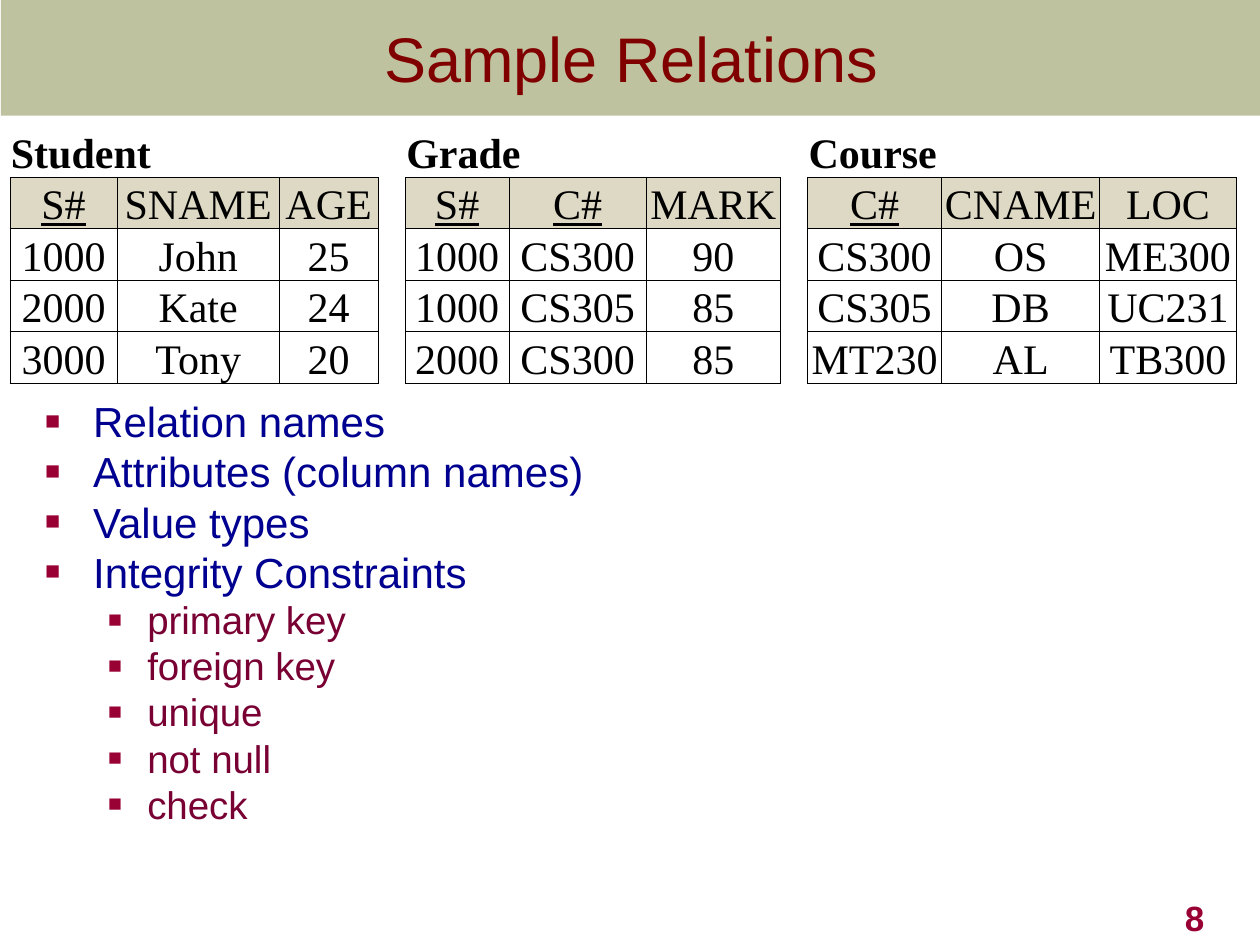
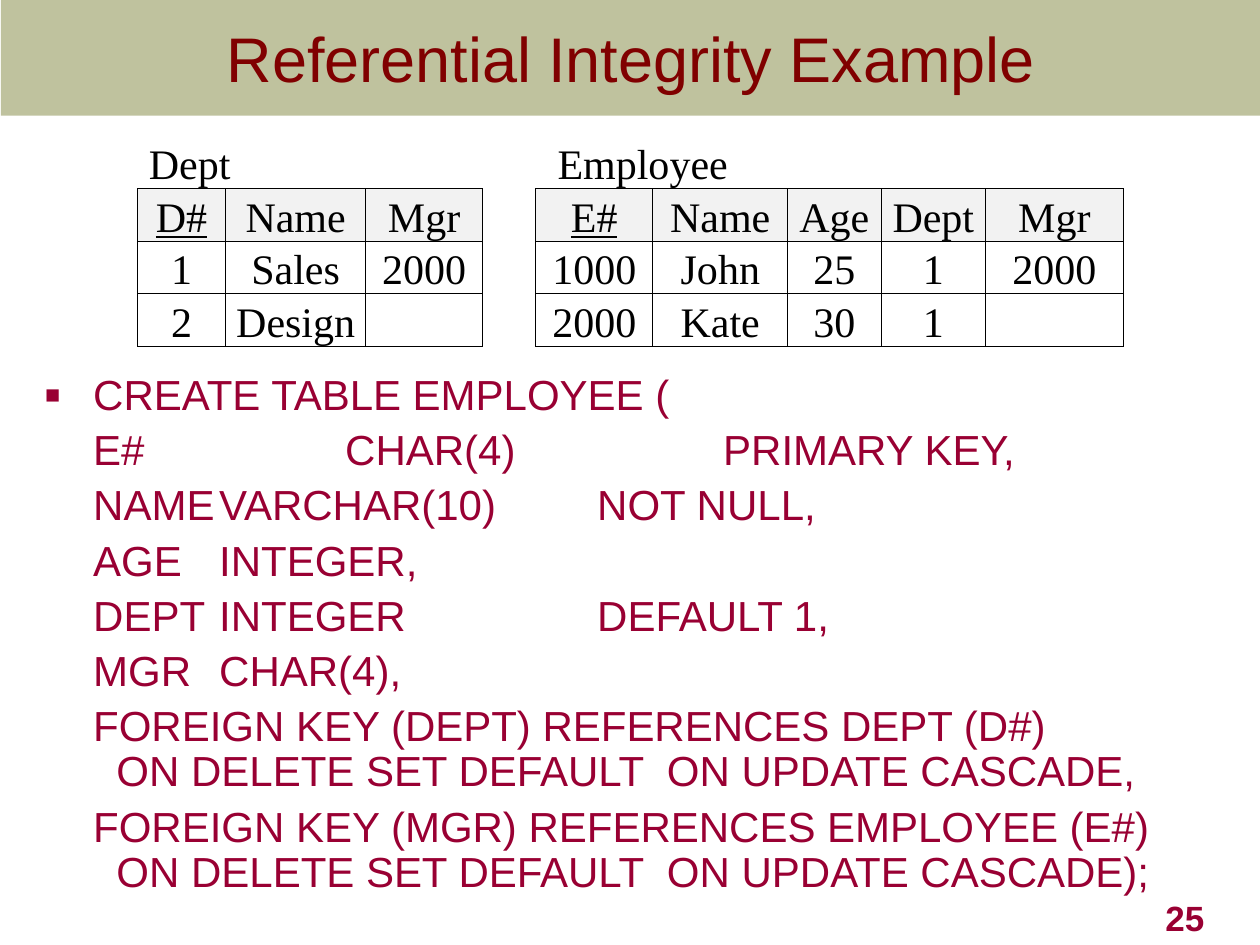
from dataclasses import dataclass

from lxml import etree
from pptx import Presentation
from pptx.dml.color import RGBColor
from pptx.enum.text import MSO_ANCHOR, PP_ALIGN
from pptx.oxml.ns import qn
from pptx.util import Cm, Pt

LEFT, CENTER, RIGHT = PP_ALIGN.LEFT, PP_ALIGN.CENTER, PP_ALIGN.RIGHT
MIDDLE, BOTTOM = MSO_ANCHOR.MIDDLE, MSO_ANCHOR.BOTTOM
TITLE_ONLY = 5


@dataclass(frozen=True)
class Theme:
    sans: str = "Arial"
    serif: str = "Times New Roman"
    band: str = "6E7524"
    band_alpha: int = 44
    title: str = "800000"
    accent: str = "990033"
    topic: str = "000090"
    subtopic: str = "790033"
    ink: str = "000000"
    paper: str = "FFFFFF"
    title_size: int = 36
    text_size: int = 24
    sub_size: int = 22
    number_size: int = 20
    border: float = 0.5
    bullet_percent: int = 60


THEME = Theme()


@dataclass
class Relation:
    name: str
    columns: list
    key_count: int  # leading columns that form the primary key
    rows: list
    widths: list  # cm
    name_indent: float = 0.02  # cm


def add_element(parent, tag, **attributes):
    return etree.SubElement(parent, qn(tag), {k: str(v) for k, v in attributes.items()})


def add_run(p, text, size, color, font=THEME.sans, bold=False, underline=False):
    r = p.add_run()
    r.text = text
    f = r.font
    f.name, f.size, f.bold, f.underline = font, Pt(size), bold, underline
    f.color.rgb = RGBColor.from_string(color)


def add_text_box(slide, box):
    tf = slide.shapes.add_textbox(*map(Cm, box)).text_frame
    tf.word_wrap = True
    return tf


def add_titled_slide(prs, title, number):
    slide = prs.slides.add_slide(prs.slide_layouts[TITLE_ONLY])
    sp = slide.shapes.title
    sp.left, sp.top, sp.width, sp.height = Cm(0.02), Cm(0), Cm(25.4), Cm(2.33)
    sp.fill.solid()
    sp.fill.fore_color.rgb = RGBColor.from_string(THEME.band)
    color = sp.fill._xPr.find(".//" + qn("a:srgbClr"))
    add_element(color, "a:alpha", val=THEME.band_alpha * 1000)
    tf = sp.text_frame
    tf.vertical_anchor = MIDDLE
    p = tf.paragraphs[0]
    p.alignment = CENTER
    add_run(p, title, THEME.title_size, THEME.title)

    tf = add_text_box(slide, (19.25, 17.78, 5.28, 1.27))
    tf.vertical_anchor = BOTTOM
    p = tf.paragraphs[0]
    p.alignment = RIGHT
    add_run(p, str(number), THEME.number_size, THEME.accent, bold=True)
    return slide


def style_cell(cell, fill, sides=""):
    """Fill a cell and draw borders on the named sides (L, R, T, B) only."""
    cell.margin_left = cell.margin_right = cell.margin_top = Cm(0.02)
    cell.margin_bottom = 0
    cell.vertical_anchor = BOTTOM
    tc_pr = cell._tc.get_or_add_tcPr()
    for side in "LRTB":
        ln = add_element(tc_pr, f"a:ln{side}", w=Pt(THEME.border))
        if side in sides:
            solid = add_element(ln, "a:solidFill")
            add_element(solid, "a:srgbClr", val=THEME.ink)
        else:
            add_element(ln, "a:noFill")
    cell.fill.solid()
    cell.fill.fore_color.rgb = RGBColor.from_string(fill)


def write_cell(cell, text, align=CENTER, **style):
    if text:
        p = cell.text_frame.paragraphs[0]
        p.alignment = align
        add_run(p, text, THEME.text_size, THEME.ink, THEME.serif, **style)


def fill_relation(table, first, relation, header_fill, bold_name):
    """Write one relation into the table, starting at column index first."""
    last = first + len(relation.columns) - 1
    for col in range(first, last + 1):
        style_cell(table.cell(0, col), THEME.paper, "B")
    name_cell = table.cell(0, first)
    name_cell.merge(table.cell(0, last))
    name_cell.margin_left = Cm(relation.name_indent)
    write_cell(name_cell, relation.name, LEFT, bold=bold_name)

    for i, values in enumerate([relation.columns] + relation.rows):
        for j, value in enumerate(values):
            cell = table.cell(i + 1, first + j)
            style_cell(cell, THEME.paper if i else header_fill, "LRTB")
            write_cell(cell, value, underline=i == 0 and j < relation.key_count)


def add_relations(slide, left, top, row_height, gap, relations, header_fill,
                  bold_names=False):
    """Set relations side by side in one table, with a blank column between."""
    widths = []
    starts = []
    for relation in relations:
        if widths:
            widths.append(gap)
        starts.append(len(widths))
        widths += relation.widths
    row_count = len(relations[0].rows) + 2
    frame = slide.shapes.add_table(row_count, len(widths), Cm(left), Cm(top),
                                   Cm(sum(widths)), Cm(row_height * row_count))
    table = frame.table
    table.first_row = table.horz_banding = False
    for column, width in zip(table.columns, widths):
        column.width = Cm(width)
    for row in table.rows:
        row.height = Cm(row_height)
    for first, relation in zip(starts, relations):
        fill_relation(table, first, relation, header_fill, bold_names)
        if first:
            for i in range(row_count):
                style_cell(table.cell(i, first - 1), THEME.paper, "LR" if i else "")


def add_body(slide, box):
    tf = add_text_box(slide, box)
    tf.margin_right = 0
    return tf


def add_body_line(tf, text, size, color, spacing, margin=0.97, hang=0.97, level=0,
                  bullet=True):
    """Add a paragraph; margin and hang are in cm, a newline is a line break."""
    is_first = not tf.paragraphs[0].runs
    p = tf.paragraphs[0] if is_first else tf.add_paragraph()
    p.level = level
    p_pr = p._p.get_or_add_pPr()
    p_pr.set("marL", str(Cm(margin)))
    p_pr.set("indent", str(-Cm(hang) if bullet else 0))
    p_pr.set("defTabSz", str(Cm(2.54)))
    if bullet:
        add_element(add_element(p_pr, "a:buClr"), "a:srgbClr", val=THEME.accent)
        add_element(p_pr, "a:buSzPct", val=THEME.bullet_percent * 1000)
        add_element(p_pr, "a:buFont", typeface=THEME.sans)
        add_element(p_pr, "a:buChar", char="■")
    else:
        add_element(p_pr, "a:buNone")
    p.line_spacing = spacing
    p.space_before = Pt(0 if is_first else round(size * 0.235, 1))
    for i, part in enumerate(text.split("\n")):
        if i:
            p.add_line_break()
        add_run(p, part, size, color)


def add_topics(slide, box, topics, subtopics):
    tf = add_body(slide, box)
    for topic in topics:
        add_body_line(tf, topic, THEME.text_size, THEME.topic, 0.8)
    for subtopic in subtopics:
        add_body_line(tf, subtopic, THEME.sub_size, THEME.subtopic, 0.8,
                      margin=2.06, hang=0.79, level=1)


def add_statement(slide, box, lines):
    """Show a code statement: its first line is bulleted, the rest align with it."""
    tf = add_body(slide, box)
    for i, line in enumerate(lines):
        add_body_line(tf, line, THEME.text_size, THEME.accent, 0.9, bullet=i == 0)


def build_sample_relations(prs):
    slide = add_titled_slide(prs, "Sample Relations", 8)
    relations = [
        Relation("Student", ["S#", "SNAME", "AGE"], 1,
                 [["1000", "John", "25"],
                  ["2000", "Kate", "24"],
                  ["3000", "Tony", "20"]], [2.16, 3.27, 1.99]),
        Relation("Grade", ["S#", "C#", "MARK"], 2,
                 [["1000", "CS300", "90"],
                  ["1000", "CS305", "85"],
                  ["2000", "CS300", "85"]], [2.09, 2.77, 2.7]),
        Relation("Course", ["C#", "CNAME", "LOC"], 1,
                 [["CS300", "OS", "ME300"],
                  ["CS305", "DB", "UC231"],
                  ["MT230", "AL", "TB300"]], [2.7, 3.19, 2.75]),
    ]
    add_relations(slide, 0.2, 2.54, 0.97, 0.55, relations, "DDD9C4", bold_names=True)
    add_topics(slide, (0.66, 8.05, 23.04, 9.73),
               ["Relation names", "Attributes (column names)", "Value types",
                "Integrity Constraints"],
               ["primary key", "foreign key", "unique", "not null", "check"])


def build_referential_integrity(prs):
    slide = add_titled_slide(prs, "Referential Integrity Example", 25)
    relations = [
        Relation("Dept", ["D#", "Name", "Mgr"], 1,
                 [["1", "Sales", "2000"],
                  ["2", "Design", ""]], [1.78, 2.82, 2.36], 0.23),
        Relation("Employee", ["E#", "Name", "Age", "Dept", "Mgr"], 1,
                 [["1000", "John", "25", "1", "2000"],
                  ["2000", "Kate", "30", "1", ""]],
                 [2.36, 2.72, 1.88, 2.11, 2.77], 0.44),
    ]
    add_relations(slide, 2.77, 2.74, 1.06, 1.07, relations, "F2F2F2")
    add_statement(slide, (0.66, 7.42, 24.1, 11.63), [
        "CREATE TABLE EMPLOYEE (",
        "E#\t\tCHAR(4)\t\tPRIMARY KEY,",
        "NAME\tVARCHAR(10)\tNOT NULL,",
        "AGE\tINTEGER,",
        "DEPT\tINTEGER\t\tDEFAULT 1,",
        "MGR\tCHAR(4),",
        "FOREIGN KEY (DEPT) REFERENCES DEPT (D#)\n"
        "  ON DELETE SET DEFAULT  ON UPDATE CASCADE,",
        "FOREIGN KEY (MGR) REFERENCES EMPLOYEE (E#)\n"
        "  ON DELETE SET DEFAULT  ON UPDATE CASCADE);",
    ])


def main():
    prs = Presentation()
    prs.slide_width, prs.slide_height = Cm(25.4), Cm(19.05)
    build_sample_relations(prs)
    build_referential_integrity(prs)
    prs.save("out.pptx")


if __name__ == "__main__":
    main()
